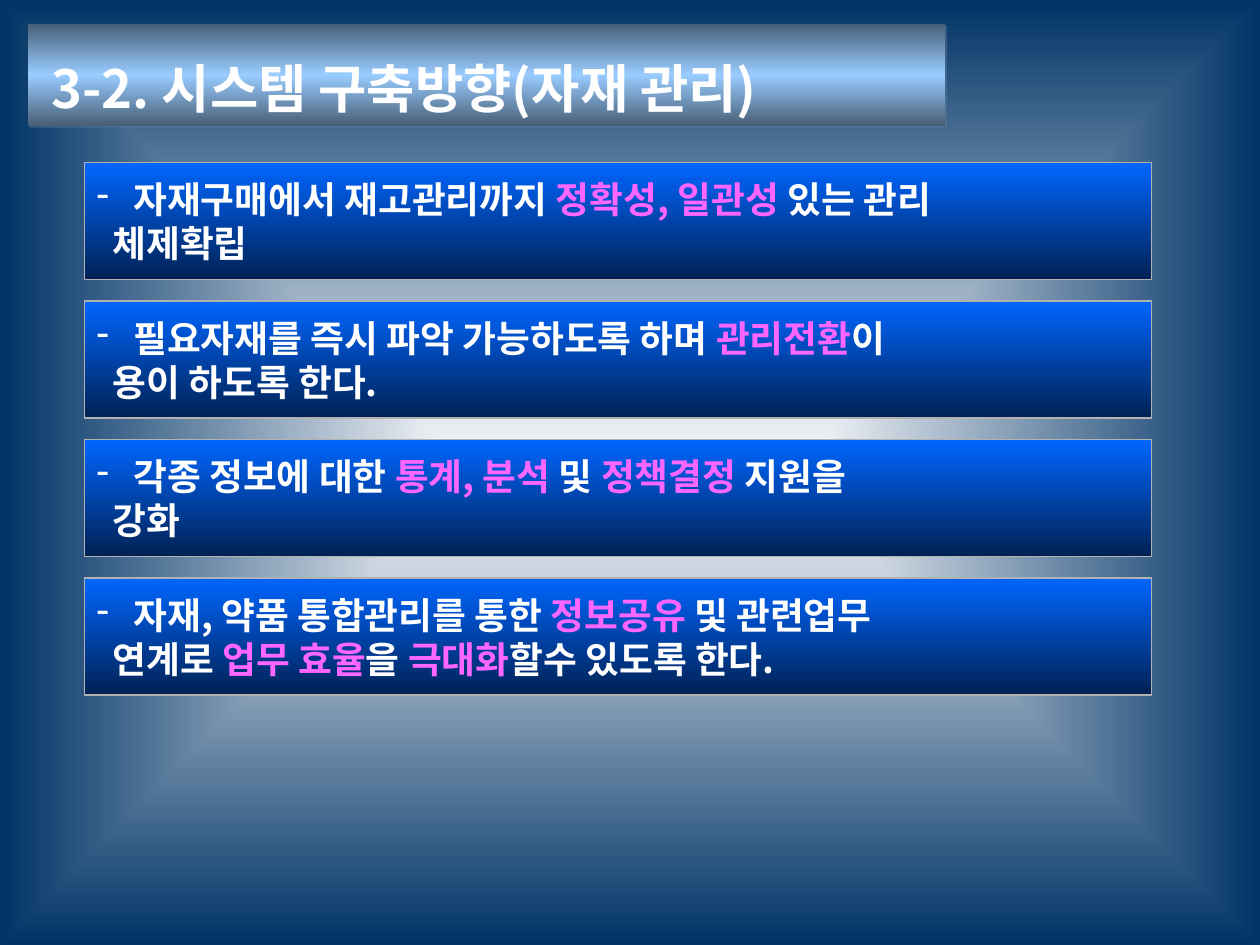
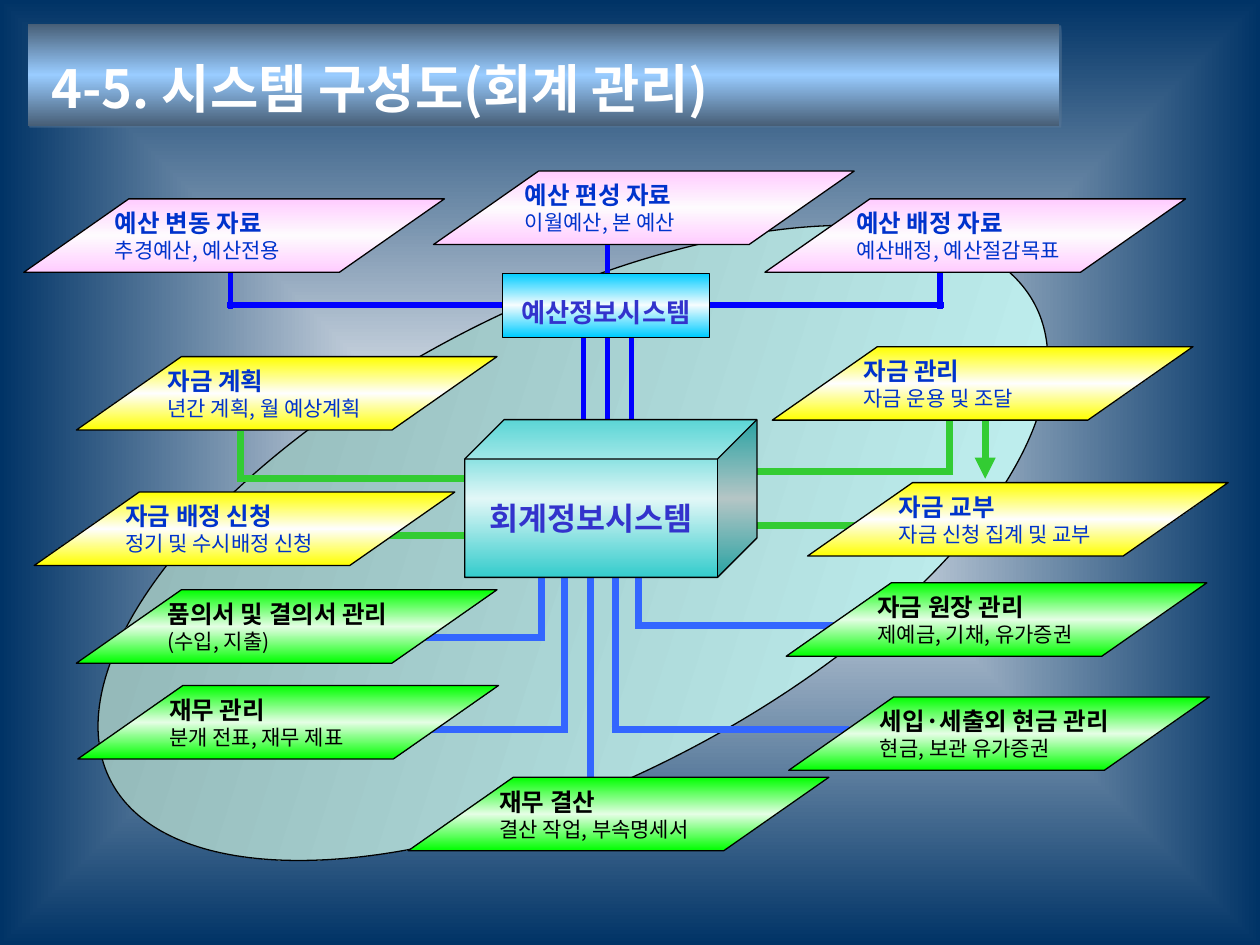
from dataclasses import dataclass

from lxml.etree import SubElement
from pptx import Presentation
from pptx.dml.color import RGBColor
from pptx.enum.shapes import MSO_CONNECTOR, MSO_SHAPE
from pptx.enum.text import MSO_ANCHOR, PP_ALIGN
from pptx.oxml import parse_xml
from pptx.oxml.ns import nsdecls, qn
from pptx.util import Cm, Pt


@dataclass(frozen=True)
class Theme:
    # Fonts and type sizes
    font: str = "Noto Sans CJK KR"
    serif: str = "Times New Roman"
    title: int = 30
    body: int = 21
    core: int = 18
    hub: int = 15
    head: int = 14
    note: int = 12
    # Text and line colours
    white: str = "FFFFFF"
    black: str = "000000"
    hot: str = "FF66FF"
    navy: str = "0033CC"
    violet: str = "3333CC"
    edge: str = "B2B2B2"
    shade: str = "5B7998"
    feed: str = "0000FF"
    cash: str = "33CC33"
    book: str = "3366FF"
    # Gradients, with evenly spaced stops
    back: tuple = ("FFFFFF", "003366")
    band: tuple = ("475E76", "99CCFF", "475E76")
    bar: tuple = ("0066FF", "002154")
    oval: tuple = ("CCFFFF", "86A8A8")
    pink: tuple = ("FFCCFF", "FEFBFE", "FFCCFF")
    yellow: tuple = ("FFFF00", "FEFEFE", "FFFF00")
    green: tuple = ("00FF00", "E4FEE4", "00FF00")
    cyan: tuple = ("00CCFF", "F4FCFE", "00CCFF")
    teal: tuple = ("33CCCC", "E2F7F7", "33CCCC")


T = Theme()


# Fills and shapes
def blend(fill, host, tones, angle=None):
    """Give host a gradient: linear at an angle, or from the centre out."""
    fill.background()
    last = len(tones) - 1
    stops = "".join(
        f'<a:gs pos="{100000 * i // last}"><a:srgbClr val="{tone}"/></a:gs>'
        for i, tone in enumerate(tones))
    if angle is None:
        way = ('<a:path path="rect"><a:fillToRect l="50000" t="50000" '
               'r="50000" b="50000"/></a:path>')
    else:
        way = f'<a:lin ang="{angle * 60000}" scaled="0"/>'
    grad = parse_xml(f'<a:gradFill {nsdecls("a")} rotWithShape="1">'
                     f'<a:gsLst>{stops}</a:gsLst>{way}</a:gradFill>')
    host.replace(host.find(qn("a:noFill")), grad)


def block(page, kind, left, top, wide, high, tones, edge=None, weight=0.75,
          angle=90):
    shape = page.shapes.add_shape(kind, Cm(left), Cm(top), Cm(wide), Cm(high))
    shape.shadow.inherit = False
    blend(shape.fill, shape.element.spPr, tones, angle)
    if edge:
        shape.line.color.rgb = RGBColor.from_string(edge)
        shape.line.width = Pt(weight)
    else:
        shape.line.fill.background()
    frame = shape.text_frame
    frame.word_wrap = False
    frame.vertical_anchor = MSO_ANCHOR.MIDDLE
    return shape


# Text
def write(shape, text, size, color, bold=True, align=PP_ALIGN.LEFT, lead=None,
          face=T.font, left=0, mark=None):
    """Add a paragraph; parts between bars take the highlight colour."""
    frame = shape.text_frame
    para = frame.paragraphs[0]
    if para.runs:
        para = frame.add_paragraph()
    para.alignment = align
    if lead:
        para.line_spacing = lead
    if left:
        props = para._p.get_or_add_pPr()
        props.set("marL", str(Cm(left)))
        props.set("indent", str(-Cm(left) if mark else 0))
        if mark:
            tint = SubElement(props, qn("a:buClr"))
            SubElement(tint, qn("a:srgbClr"), val=color)
            SubElement(props, qn("a:buChar"), char=mark)
    for i, part in enumerate(text.split("|")):
        if not part:
            continue
        run = para.add_run()
        run.text = part
        font = run.font
        font.size, font.bold, font.name = Pt(size), bold, face
        font.color.rgb = RGBColor.from_string(T.hot if i % 2 else color)
        SubElement(run._r.get_or_add_rPr(), qn("a:ea"), typeface=T.font)


# Lines
def wire(page, x1, y1, x2, y2, color, weight, arrow=False):
    line = page.shapes.add_connector(
        MSO_CONNECTOR.STRAIGHT, Cm(x1), Cm(y1), Cm(x2), Cm(y2))
    line.line.color.rgb = RGBColor.from_string(color)
    line.line.width = Pt(weight)
    if arrow:
        SubElement(line.line._get_or_add_ln(), qn("a:tailEnd"),
                   type="triangle")
    SubElement(line.element.spPr, qn("a:effectLst"))
    return line


def elbow(page, x, top, turn, end, color, weight):
    """Go down at x, then across to end, overlapping at the corner."""
    lap = 0.07
    wire(page, x, top, x, turn + lap, color, weight)
    start = x + lap if end < x else x - lap
    return wire(page, start, turn, end, turn, color, weight)


# Parts of the slides
def start(deck, title, wide):
    page = deck.slides.add_slide(deck.slide_layouts[6])
    blend(page.background.fill, page.element.find(".//" + qn("p:bgPr")),
          T.back)
    band = block(page, MSO_SHAPE.RECTANGLE, 0.56, 0.48, wide, 2.06, T.band)
    glow = band.element.spPr.find(qn("a:effectLst"))
    drop = SubElement(glow, qn("a:outerShdw"), dist=str(Pt(1.4)),
                      dir="2700000", algn="ctr", rotWithShape="0")
    tint = SubElement(drop, qn("a:srgbClr"), val=T.shade)
    SubElement(tint, qn("a:alpha"), val="50000")
    band.text_frame.margin_left = Cm(0.48)
    band.text_frame.margin_top = Cm(0.39)
    write(band, title, T.title, T.white, lead=1.2)
    return page


def panels(page, items, tones, color):
    for left, top, head, note in items:
        shape = block(page, MSO_SHAPE.PARALLELOGRAM, left, top, 8.48, 1.48,
                      tones, T.black)
        shape.adjustments[0] = 1.431
        write(shape, head, T.head, color)
        write(shape, note, T.note, color, bold=False)


# Slides
def goals(deck):
    page = start(deck, "3-2. 시스템 구축방향(자재 관리)", 18.49)
    rows = [
        ("자재구매에서 재고관리까지 |정확성, 일관성| 있는 관리", "체제확립"),
        ("필요자재를 즉시 파악 가능하도록 하며 |관리전환|이",
         "용이 하도록 한다."),
        ("각종 정보에 대한 |통계, 분석 |및 |정책결정| 지원을", "강화"),
        ("자재, 약품 통합관리를 통한 |정보공유| 및 관련업무",
         "연계로 |업무 효율|을 |극대화|할수 있도록 한다."),
    ]
    for i, (first, second) in enumerate(rows):
        bar = block(page, MSO_SHAPE.RECTANGLE, 1.7, 3.28 + 2.79 * i, 21.51,
                    2.36, T.bar, T.edge)
        write(bar, first, T.body, T.white, left=0.74, mark="-")
        write(bar, second, T.body, T.white, left=0.32)


def chart(deck):
    page = start(deck, "4-5. 시스템 구성도(회계 관리)", 20.8)
    oval = block(page, MSO_SHAPE.OVAL, 1.07, 6.17, 20.96, 9.55, T.oval,
                 T.black, angle=225)
    oval.rotation = 332.8

    # Budget sources
    panels(page, [
        (0.48, 4.01, "예산 변동 자료", "추경예산, 예산전용"),
        (8.74, 3.45, "예산 편성 자료", "이월예산, 본 예산"),
        (15.42, 4.01, "예산 배정 자료", "예산배정, 예산절감목표"),
    ], T.pink, T.navy)
    for x, top in ((11.76, 5.92), (12.73, 5.92), (12.24, 4.93)):
        wire(page, x, top, x, 8.52, T.feed, 3)
    west = elbow(page, 4.65, 5.51, 6.15, 10.13, T.feed, 3)
    east = elbow(page, 18.95, 5.51, 6.15, 14.3, T.feed, 3)

    # Ledgers and closing
    wire(page, 11.91, 11.63, 11.91, 15.88, T.book, 4)
    for x, turn, end in ((12.88, 12.6, 16.92), (12.4, 14.71, 17.12),
                         (11.38, 14.71, 7.59), (10.92, 12.85, 7.59)):
        elbow(page, x, 11.63, turn, end, T.book, 4)
    panels(page, [
        (1.54, 11.89, "품의서 및 결의서 관리", "(수입, 지출)"),
        (1.57, 13.82, "재무 관리", "분개 전표, 재무 제표"),
        (15.85, 11.75, "자금 원장 관리", "제예금, 기채, 유가증권"),
        (15.9, 14.05, "세입·세출외 현금 관리", "현금, 보관 유가증권"),
        (8.23, 15.67, "재무 결산", "결산 작업, 부속명세서"),
    ], T.green, T.black)

    # Budget system, joined to its two side feeds
    hub = block(page, MSO_SHAPE.RECTANGLE, 10.13, 5.51, 4.17, 1.28, T.cyan,
                T.black, 0.25)
    hub.text_frame.margin_top = Cm(0.26)
    write(hub, "예산정보시스템", T.hub, T.violet, align=PP_ALIGN.CENTER,
          lead=1.2)
    west.end_connect(hub, 1)
    east.end_connect(hub, 3)

    # Funds
    elbow(page, 4.85, 8.69, 9.65, 9.5, T.cash, 4)
    wire(page, 6.78, 10.8, 9.53, 10.8, T.cash, 4)
    elbow(page, 19.15, 8.46, 9.5, 14.58, T.cash, 4)
    wire(page, 14.58, 10.59, 17.32, 10.59, T.cash, 4)
    wire(page, 19.86, 8.46, 19.86, 9.65, T.cash, 4, arrow=True)
    panels(page, [
        (16.28, 9.73, "자금 교부", "자금 신청 집계 및 교부"),
        (1.54, 7.19, "자금 계획", "년간 계획, 월 예상계획"),
        (15.57, 6.99, "자금 관리", "자금 운용 및 조달"),
        (0.69, 9.92, "자금 배정 신청", "정기 및 수시배정 신청"),
    ], T.yellow, T.navy)

    # Accounting system
    core = block(page, MSO_SHAPE.CUBE, 9.37, 8.46, 5.89, 3.18, T.teal,
                 T.black)
    core.adjustments[0] = 0.25
    write(core, "회계정보시스템", T.core, T.violet, align=PP_ALIGN.CENTER,
          face=T.serif)


def main():
    deck = Presentation()
    deck.slide_width, deck.slide_height = Cm(25.4), Cm(19.05)
    goals(deck)
    chart(deck)
    deck.save("out.pptx")


if __name__ == "__main__":
    main()
